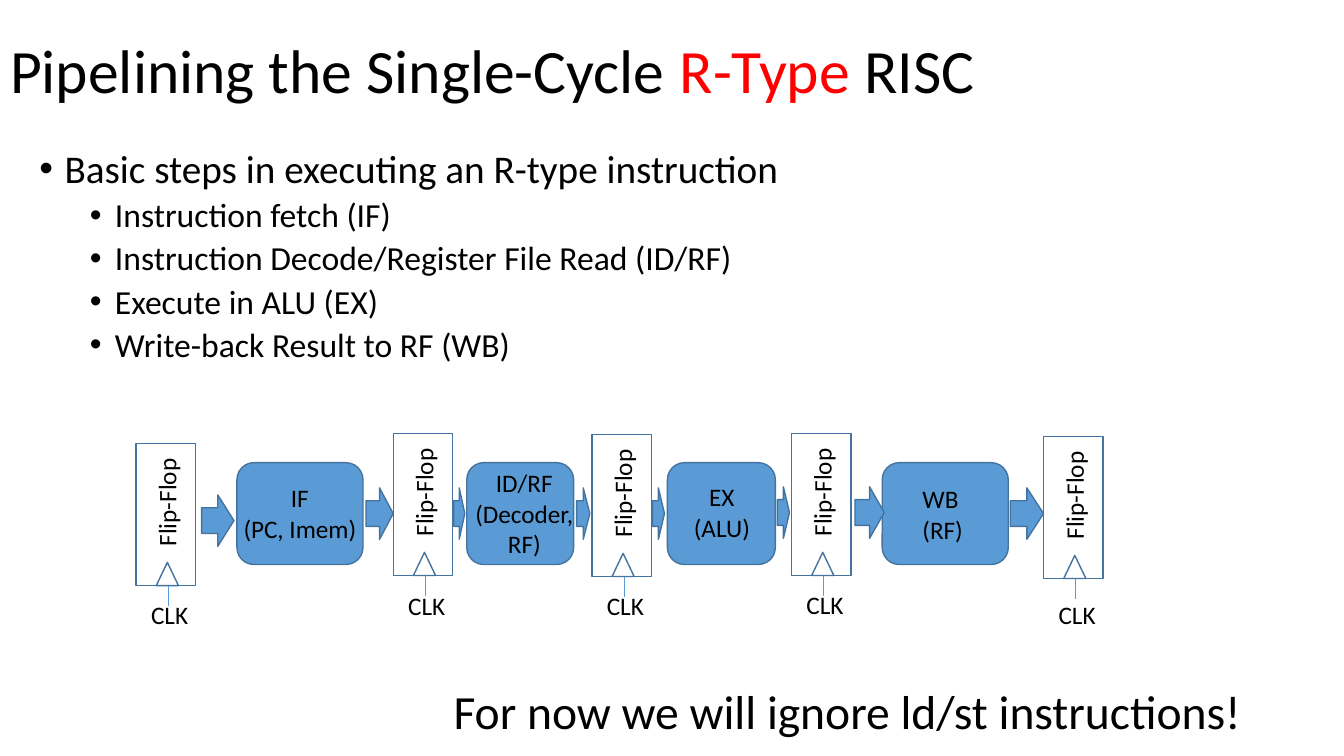
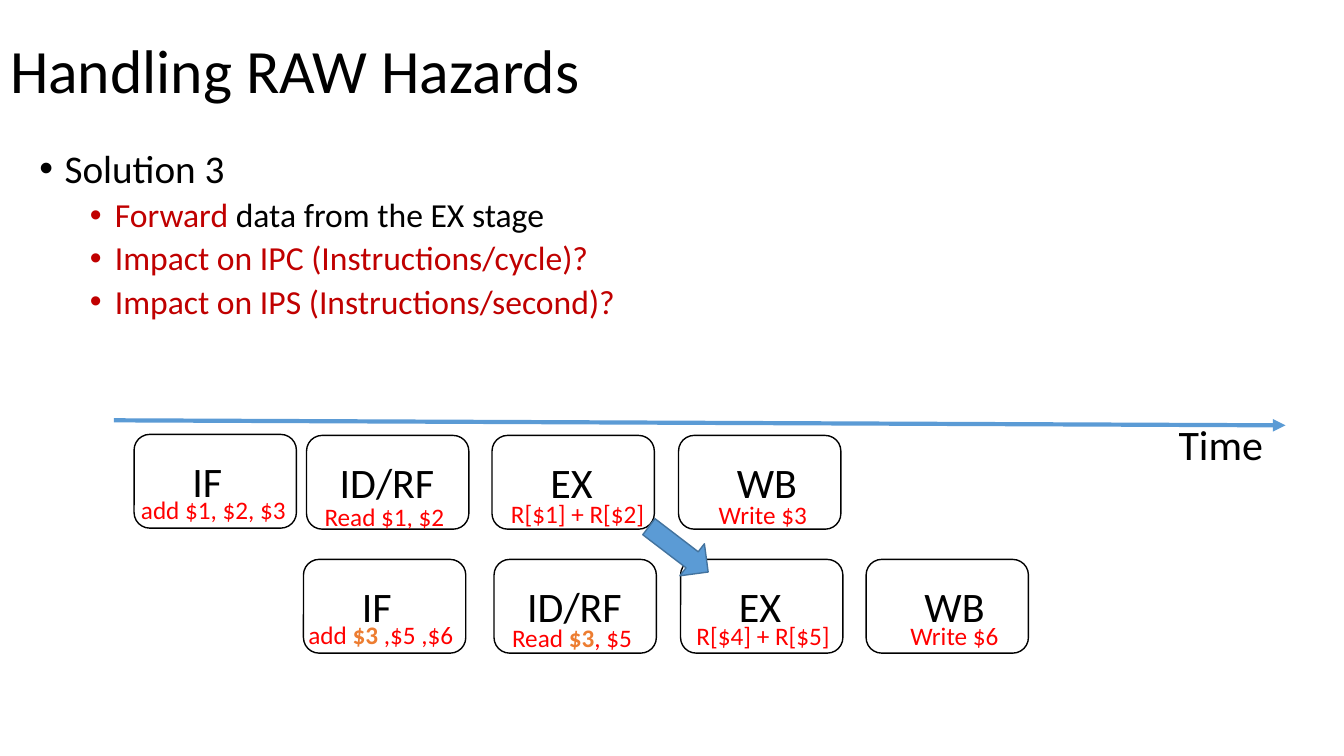
from lxml.etree import SubElement
from pptx import Presentation
from pptx.dml.color import RGBColor as RGB
from pptx.enum.shapes import MSO_CONNECTOR as CONN, MSO_SHAPE as SHAPE
from pptx.enum.text import MSO_ANCHOR as ANCHOR, MSO_AUTO_SIZE as AUTO, PP_ALIGN as ALIGN
from pptx.oxml.ns import qn
from pptx.util import Pt

PX = 9144
FONT = "Calibri"
COLORS = {
    "black": "000000", "red": "FF0000", "dark_red": "C00000",
    "orange": "ED7D31", "blue": "5B9BD5", "edge": "43739E",
}


def write(tf, lines, size, color="black", align=ALIGN.LEFT):
    for i, line in enumerate(lines):
        p = tf.paragraphs[0] if i == 0 else tf.add_paragraph()
        p.alignment = align
        for text, tint in [(line, color)] if isinstance(line, str) else line:
            r = p.add_run()
            r.text = text
            look = {"name": FONT, "size": Pt(size), "bold": tint == "orange"}
            for key, value in look.items():
                setattr(r.font, key, value)
            r.font.color.rgb = RGB.from_string(COLORS[tint])


def draw(s, kind, box, fill=None, line="edge", rot=0):
    box = [v * PX for v in box]
    if kind is None:
        sp = s.shapes.add_textbox(*box)
        sp.text_frame.word_wrap = False
        sp.text_frame.auto_size = AUTO.SHAPE_TO_FIT_TEXT
    else:
        sp = s.shapes.add_shape(kind, *box)
        sp.shadow.inherit = False
        if fill:
            sp.fill.solid()
            sp.fill.fore_color.rgb = RGB.from_string(COLORS[fill])
        else:
            sp.fill.background()
        sp.line.color.rgb = RGB.from_string(COLORS[line])
        sp.line.width = Pt(1)
    sp.rotation = rot
    return sp.text_frame


prs = Presentation()
prs.slide_width, prs.slide_height = 1333 * PX, 750 * PX
layout = prs.slide_layouts[1]
for ph, box in zip(layout.placeholders, [(0, 0, 1150, 145), (29, 143, 1202, 476)]):
    for key, value in zip(("left", "top", "width", "height"), box):
        setattr(ph, key, value * PX)

contents = [
    (
        [("Pipelining the Single-Cycle ", "black"), ("R-Type", "red"), (" RISC", "black")],
        [
            "Basic steps in executing an R-type instruction",
            "Instruction fetch (IF)",
            "Instruction Decode/Register File Read (ID/RF)",
            "Execute in ALU (EX)",
            "Write-back Result to RF (WB)",
        ],
    ),
    (
        "Handling RAW Hazards",
        [
            "Solution 3",
            [("Forward", "dark_red"), (" data from the EX stage", "black")],
            [("Impact on IPC (Instructions/cycle)?", "dark_red")],
            [("Impact on IPS (Instructions/second)?", "dark_red")],
        ],
    ),
]

slides = []
for title, items in contents:
    s = prs.slides.add_slide(layout)
    slides.append(s)
    head, body = [ph.text_frame for ph in s.placeholders]
    write(head, [title], 44)
    write(body, items[:1], 28)
    for item in items[1:]:
        body.add_paragraph()
    for p, item in zip(body.paragraphs[1:], items[1:]):
        for text, tint in [(item, "black")] if isinstance(item, str) else item:
            r = p.add_run()
            r.text = text
            r.font.name, r.font.size = FONT, Pt(24)
            r.font.color.rgb = RGB.from_string(COLORS[tint])
    for tf, anchor in ((head, ANCHOR.MIDDLE), (body, ANCHOR.TOP)):
        tf.auto_size = AUTO.NONE
        tf.vertical_anchor = anchor
        for i, p in enumerate(tf.paragraphs):
            level = min(i, 1)
            look = {"level": level, "alignment": ALIGN.LEFT, "line_spacing": 0.9,
                    "space_before": Pt(5 * level)}
            for key, value in look.items():
                setattr(p, key, value)
            if tf is body:
                pPr = p._p.get_or_add_pPr()
                pPr.set("marL", str((25 + 50 * level) * PX))
                pPr.set("indent", str(-25 * PX))
                SubElement(pPr, qn("a:buFont"), typeface="Arial")
                SubElement(pPr, qn("a:buChar"), char="•")

pipeline, hazards = slides
connectors = []

stages = [
    (235, 125, (231, 474, 133, 71), ["IF", "(PC, Imem)"], ALIGN.CENTER),
    (463, 106, (459, 459, 122, 101), ["ID/RF", "(Decoder, RF)"], ALIGN.CENTER),
    (662, 107, (678, 473, 76, 71), ["EX", "(ALU)"], ALIGN.CENTER),
    (875, 125, (905, 475, 61, 71), ["WB", "(RF)"], ALIGN.LEFT),
]
for x, w, box, lines, align in stages:
    draw(pipeline, SHAPE.ROUNDED_RECTANGLE, (x, 459, w, 101), "blue")
    tf = draw(pipeline, None, box)
    tf.word_wrap = "(Decoder, RF)" in lines
    write(tf, lines, 18, align=align)

arrows = [(200, 491, 32), (363, 484, 27), (450, 484, 11), (572, 484, 13),
          (647, 484, 12), (771, 483, 12), (848, 483, 29), (1002, 484, 33)]
for x, y, w in arrows:
    draw(pipeline, SHAPE.RIGHT_ARROW, (x, y, w, 51), "blue")

flip_flops = [(135, 440, 590), (390, 430, 581), (587, 431, 581), (785, 430, 580), (1035, 433, 590)]
for x, y, clk_y in flip_flops:
    draw(pipeline, SHAPE.RECTANGLE, (x, y, 59, 141))
    draw(pipeline, SHAPE.ISOSCELES_TRIANGLE, (x + 20, y + 118, 22, 23))
    write(draw(pipeline, None, (x - 24, y + 38, 108, 40), rot=270), ["Flip-Flop"], 18)
    write(draw(pipeline, None, (x + 5, clk_y, 58, 40)), ["CLK"], 18)
    connectors.append((pipeline, (x + 32, y + 161, x + 32, y + 141), 0.5, False))

write(draw(pipeline, None, (440, 672, 809, 67)), ["For now we will ignore ld/st instructions!"], 34)

connectors.append((hazards, (113, 417, 1275, 422), 3, True))
write(draw(hazards, None, (1159, 410, 105, 61)), ["Time"], 30)

steps = [("IF", 48, 50, 166), ("ID/RF", 23, 115, 141), ("EX", 48, 63, 154), ("WB", 48, 81, 109)]
instructions = [
    [
        (133, 431, 130, 485, "add $1, $2, $3"),
        (304, 432, 312, 492, "Read $1, $2"),
        (488, 432, 497, 489, "R[$1] + R[$2]"),
        (673, 432, 703, 490, "Write $3"),
    ],
    [
        (301, 555, 296, 609, [("add ", "red"), ("$3", "orange"), (" ,$5 ,$6", "red")]),
        (490, 555, 498, 612, [("Read ", "red"), ("$3", "orange"), (", $5", "red")]),
        (675, 555, 681, 611, "R[$4] + R[$5]"),
        (859, 555, 893, 611, "Write $6"),
    ],
]
for instruction in instructions:
    for (name, dx, name_w, note_w), (x, y, note_x, note_y, note) in zip(steps, instruction):
        draw(hazards, SHAPE.ROUNDED_RECTANGLE, (x, y, 161, 93), line="black")
        write(draw(hazards, None, (x + dx, y + 16, name_w, 61)), [name], 30)
        write(draw(hazards, None, (note_x, note_y, note_w, 40)), [note], 18, "red")
draw(hazards, SHAPE.DOWN_ARROW, (653, 508, 40, 74), "blue", rot=307.4)

for s, ends, width, arrow in connectors:
    c = s.shapes.add_connector(CONN.STRAIGHT, *[v * PX for v in ends])
    c.line.color.rgb = RGB.from_string(COLORS["blue"])
    c.line.width = Pt(width)
    spPr = c._element.spPr
    if arrow:
        SubElement(spPr.find(qn("a:ln")), qn("a:tailEnd"), type="triangle")
    SubElement(spPr, qn("a:effectLst"))

prs.save("out.pptx")
